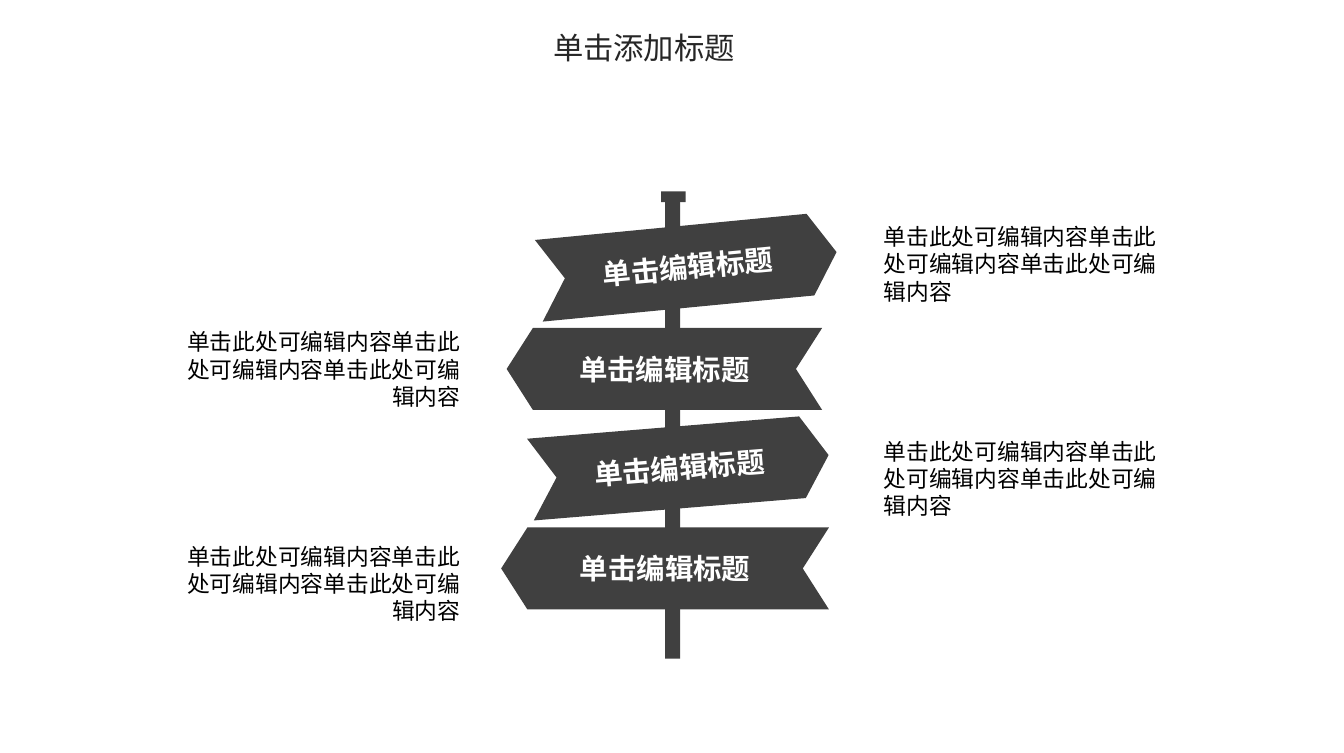
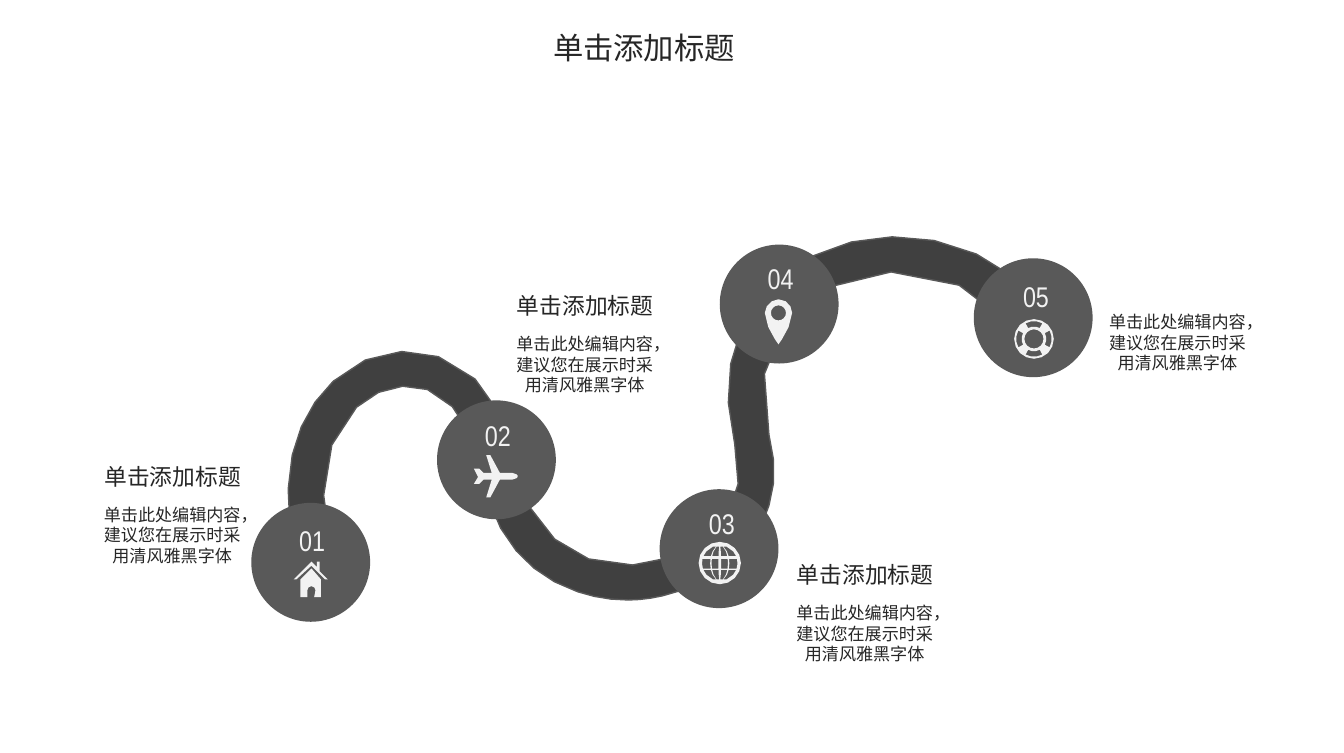
"""Build a signpost slide and a winding road slide."""
from dataclasses import dataclass
from math import cos, pi, sin, sqrt
from typing import Optional

from lxml.etree import SubElement
from pptx import Presentation
from pptx.dml.color import RGBColor
from pptx.enum.shapes import MSO_SHAPE
from pptx.enum.text import MSO_ANCHOR, MSO_AUTO_SIZE, PP_ALIGN
from pptx.oxml.ns import qn
from pptx.presentation import Presentation as Deck
from pptx.shapes.autoshape import Shape
from pptx.slide import Slide
from pptx.text.text import TextFrame
from pptx.util import Inches, Pt

DARK, GREY, PALE, INK = "404040", "595959", "F2F2F2", "262626"
WHITE, BLACK = "FFFFFF", "000000"
SANS = "Noto Sans CJK SC"
TITLE = "单击添加标题"
SIGN = "单击编辑标题"
BODY = "单击此处可编辑内容" * 3
NOTE = "单击此处编辑内容，建议您在展示时采用清风雅黑字体"

Point = tuple[float, float]
Ring = list[Point]
Curve = tuple[float, float, float, float, float, float]


@dataclass(frozen=True)
class Style:
    """Look of a text run and its paragraph."""
    size: float
    font: str = SANS
    hue: str = INK
    bold: bool = False
    align: PP_ALIGN = PP_ALIGN.LEFT


@dataclass(frozen=True)
class Sign:
    """One arrow on the post and its body text."""
    left: float
    top: float
    width: float
    note: Point
    turn: float = 0
    flip: bool = False


@dataclass(frozen=True)
class Stop:
    """One disc on the road with its icon and text."""
    left: float
    top: float
    num: Point
    icon: list[Ring]
    note: Optional[Point] = None
    head: bool = False


HEAD = Style(16)
LABEL = Style(15, "Roboto", WHITE, True, PP_ALIGN.CENTER)
DIGIT = Style(15, "Arial Narrow", PALE)
SUB = Style(12, align=PP_ALIGN.CENTER)
SMALL = Style(9, "Lato", align=PP_ALIGN.CENTER)

SIGNS = [
    Sign(3.94, 1.65, 2.19, (6.47, 1.63), turn=354.5),
    Sign(3.71, 2.4, 2.31, (1.23, 2.4), flip=True),
    Sign(3.88, 3.12, 2.19, (6.47, 3.2), turn=355.3),
    Sign(3.67, 3.86, 2.4, (1.23, 3.97), flip=True),
]

ROAD: list[Curve] = [
    (4.47, 4.39, 4.35, 4.37, 4.23, 4.33), (4.05, 4.27, 3.9, 4.17, 3.78, 4.03),
    (3.65, 3.88, 3.57, 3.68, 3.53, 3.46), (3.48, 3.15, 3.33, 2.93, 3.13, 2.85),
    (2.95, 2.79, 2.76, 2.84, 2.61, 2.98), (2.37, 3.2, 2.31, 3.6, 2.43, 4.06),
    (2.18, 4.12, 2.18, 4.12, 2.18, 4.12), (2.1, 3.84, 2.09, 3.57, 2.14, 3.33),
    (2.19, 3.11, 2.29, 2.93, 2.44, 2.79), (2.65, 2.59, 2.95, 2.52, 3.21, 2.61),
    (3.51, 2.71, 3.72, 3.01, 3.79, 3.42), (3.84, 3.75, 4.03, 3.99, 4.31, 4.09),
    (4.62, 4.19, 4.99, 4.12, 5.21, 3.91), (5.34, 3.79, 5.47, 3.58, 5.38, 3.25),
    (5.3, 2.94, 5.32, 2.65, 5.43, 2.4), (5.54, 2.17, 5.72, 1.99, 5.96, 1.87),
    (6.22, 1.74, 6.53, 1.7, 6.84, 1.76), (7.16, 1.82, 7.45, 2, 7.67, 2.27),
    (7.47, 2.43, 7.47, 2.43, 7.47, 2.43), (7.08, 1.95, 6.47, 1.9, 6.07, 2.1),
    (5.67, 2.3, 5.5, 2.71, 5.63, 3.18), (5.68, 3.37, 5.68, 3.54, 5.63, 3.7),
    (5.59, 3.85, 5.5, 3.98, 5.39, 4.09), (5.24, 4.23, 5.05, 4.32, 4.85, 4.36),
    (4.76, 4.38, 4.68, 4.39, 4.6, 4.39),
]


def trace(start: Point, curves: list[Curve], steps: int = 3) -> Ring:
    """Turn cubic curves into a ring of points."""
    ring = [start]
    for ax, ay, bx, by, ex, ey in curves:
        sx, sy = ring[-1]
        for step in range(1, steps + 1):
            t = step / steps
            u = 1 - t
            a, b, c, d = u ** 3, 3 * u * u * t, 3 * u * t * t, t ** 3
            ring.append((a * sx + b * ax + c * bx + d * ex,
                         a * sy + b * ay + c * by + d * ey))
    return ring


def arc(mid: Point, size: float, start: float = 0, end: float = 2 * pi,
        steps: int = 16) -> Ring:
    """Give points along an arc."""
    turns = [start + (end - start) * i / steps for i in range(steps + 1)]
    return [(mid[0] + size * cos(t), mid[1] + size * sin(t)) for t in turns]


def house() -> list[Ring]:
    """Give the roof and the walls with a door."""
    roof = [(2.32, 4.15), (2.32, 4.11), (2.34, 4.11), (2.34, 4.18), (2.4, 4.24),
            (2.38, 4.24), (2.28, 4.14), (2.17, 4.24), (2.15, 4.24), (2.28, 4.11)]
    door = arc((2.28, 4.32), 0.03, 0, -pi, 4)
    walls = [(2.28, 4.16), (2.35, 4.24), (2.35, 4.37), (2.3, 4.37), *door,
             (2.25, 4.37), (2.2, 4.37), (2.2, 4.24)]
    return [roof, walls]


def plane() -> list[Ring]:
    """Give a plane as one half and its mirror."""
    half = [(3.47, 3.43), (3.51, 3.43), (3.54, 3.46), (3.6, 3.46), (3.56, 3.33),
            (3.59, 3.33), (3.66, 3.46), (3.75, 3.46), (3.78, 3.47), (3.79, 3.48)]
    return [half + [(x, 6.97 - y) for x, y in reversed(half)] + [(3.5, 3.49)]]


def globe() -> list[Ring]:
    """Give a disc with twelve cells cut out."""
    mx, my, size = 5.27, 4.12, 0.13
    rings = [arc((mx, my), 0.155)]

    def edge(wide: float, ys: list[float]) -> Ring:
        """Give one side of a cell."""
        return [(mx + wide * sqrt(1 - (y / size) ** 2), my + y) for y in ys]

    for low, high in ((-0.12, -0.05), (-0.03, 0.04), (0.05, 0.12)):
        ys = [low, (low + high) / 2, high]
        for near, far in ((0.01, 0.06), (0.07, size)):
            for side in (-1, 1):
                rings.append(edge(side * near, ys) + edge(side * far, ys[::-1]))
    return rings


def pin() -> list[Ring]:
    """Give a map pin with a round hole."""
    drop = trace((5.8, 2.29), [
        (5.8, 2.39, 5.7, 2.52, 5.7, 2.52), (5.7, 2.52, 5.6, 2.39, 5.6, 2.29),
        (5.6, 2.24, 5.65, 2.19, 5.7, 2.19), (5.76, 2.19, 5.8, 2.24, 5.8, 2.29)])
    return [drop, arc((5.7, 2.29), 0.055)]


def buoy() -> list[Ring]:
    """Give a ring with four slots cut out."""
    mid, half = (7.57, 2.48), pi / 6.4
    rings = [arc(mid, 0.145), arc(mid, 0.07)]
    for turn in (0, pi / 2, pi, 3 * pi / 2):
        rings.append(arc(mid, 0.13, turn - half, turn + half, 3)
                     + arc(mid, 0.09, turn + half, turn - half, 3))
    return rings


STOPS = [
    Stop(1.84, 3.68, (2.19, 3.83), house(), (0.7, 3.69), True),
    Stop(3.2, 2.93, (3.55, 3.06), plane(), (3.72, 2.44), True),
    Stop(4.83, 3.58, (5.19, 3.7), globe(), (5.77, 4.41), True),
    Stop(5.27, 1.79, (5.62, 1.91), pin()),
    Stop(7.13, 1.89, (7.49, 2.04), buoy(), (8.06, 2.28)),
]


def color(text: str) -> RGBColor:
    """Read a hex colour."""
    return RGBColor.from_string(text)


def write(frame: TextFrame, text: str, style: Style) -> None:
    """Add one styled run to a frame."""
    para = frame.paragraphs[0]
    para.alignment = style.align
    run = para.add_run()
    run.text = text
    font = run.font
    font.size, font.name, font.bold = Pt(style.size), style.font, style.bold
    font.color.rgb = color(style.hue)
    SubElement(font._element, qn("a:ea")).set("typeface", SANS)


def inset(frame: TextFrame, side: float, edge: float) -> None:
    """Set the margins of a frame."""
    frame.margin_left = frame.margin_right = Inches(side)
    frame.margin_top = frame.margin_bottom = Inches(edge)


def paint(shape: Shape, hue: str, rim: Optional[str] = None) -> Shape:
    """Fill a shape and set its rim."""
    shape.shadow.inherit = False
    shape.fill.solid()
    shape.fill.fore_color.rgb = color(hue)
    if rim:
        shape.line.color.rgb = color(rim)
        shape.line.width = Pt(0.75)
    else:
        shape.line.fill.background()
    return shape


def block(slide: Slide, kind: MSO_SHAPE, left: float, top: float,
          width: float, height: float, hue: str) -> Shape:
    """Add a plain preset shape."""
    return paint(slide.shapes.add_shape(
        kind, Inches(left), Inches(top), Inches(width), Inches(height)), hue)


def label(slide: Slide, spot: Point, size: Point, text: str, style: Style,
          wrap: bool = True) -> TextFrame:
    """Add a text box with no margins."""
    box = slide.shapes.add_textbox(*map(Inches, spot + size))
    frame = box.text_frame
    frame.word_wrap = wrap
    inset(frame, 0, 0)
    write(frame, text, style)
    return frame


def draw(slide: Slide, rings: list[Ring], hue: str,
         rim: Optional[str] = None) -> None:
    """Draw closed rings as one freeform."""
    paths = [[(Inches(x), Inches(y)) for x, y in ring] for ring in rings]
    form = slide.shapes.build_freeform(*paths[0][0])
    form.add_line_segments(paths[0][1:])
    for ring in paths[1:]:
        form.move_to(*ring[0])
        form.add_line_segments(ring[1:])
    paint(form.convert_to_shape(), hue, rim)


def start(deck: Deck) -> Slide:
    """Add a slide with the shared title."""
    slide = deck.slides.add_slide(deck.slide_layouts[5])
    title = slide.shapes.title
    title.left, title.top = Inches(3.95), Inches(0.16)
    title.width, title.height = Inches(3.25), Inches(0.37)
    frame = title.text_frame
    frame.vertical_anchor = MSO_ANCHOR.TOP
    frame.auto_size = MSO_AUTO_SIZE.SHAPE_TO_FIT_TEXT
    write(frame, TITLE, HEAD)
    return slide


def post(slide: Slide) -> None:
    """Draw the post with its signs."""
    block(slide, MSO_SHAPE.RECTANGLE, 4.87, 1.48, 0.11, 3.34, DARK)
    block(slide, MSO_SHAPE.RECTANGLE, 4.84, 1.4, 0.18, 0.08, DARK)
    for sign in SIGNS:
        arrow = block(slide, MSO_SHAPE.NOTCHED_RIGHT_ARROW, sign.left, sign.top,
                      sign.width, 0.6, DARK)
        arrow.adjustments[0], arrow.adjustments[1] = 1, 0.32
        arrow.rotation = sign.turn
        if sign.flip:
            arrow.element.spPr.get_or_add_xfrm().set("flipH", "1")
        frame = arrow.text_frame
        frame.vertical_anchor = MSO_ANCHOR.MIDDLE
        inset(frame, 0.07, 0.04)
        write(frame, SIGN, LABEL)
        side = PP_ALIGN.RIGHT if sign.flip else PP_ALIGN.LEFT
        label(slide, sign.note, (2.14, 0.61), BODY,
              Style(12, hue=BLACK, align=side))


def route(slide: Slide) -> None:
    """Draw the road with its stops."""
    draw(slide, [trace((4.6, 4.39), ROAD)], DARK, GREY)
    for rank, stop in enumerate(STOPS, 1):
        block(slide, MSO_SHAPE.OVAL, stop.left, stop.top, 0.87, 0.87, GREY)
        draw(slide, stop.icon, PALE)
        label(slide, stop.num, (0.21, 0.25), f"{rank:02}", DIGIT, False)
        if stop.head:
            left, top = stop.note
            frame = label(slide, (left - 0.25, top - 0.31), (1.63, 0.21),
                          TITLE, SUB)
            frame.vertical_anchor = MSO_ANCHOR.MIDDLE
            inset(frame, 0.07, 0.04)
        if stop.note:
            label(slide, stop.note, (1.12, 0.45), NOTE, SMALL)


def main() -> None:
    """Build and save the deck."""
    deck = Presentation()
    deck.slide_width, deck.slide_height = Inches(9.84), Inches(5.51)
    post(start(deck))
    route(start(deck))
    deck.save("out.pptx")


if __name__ == "__main__":
    main()
